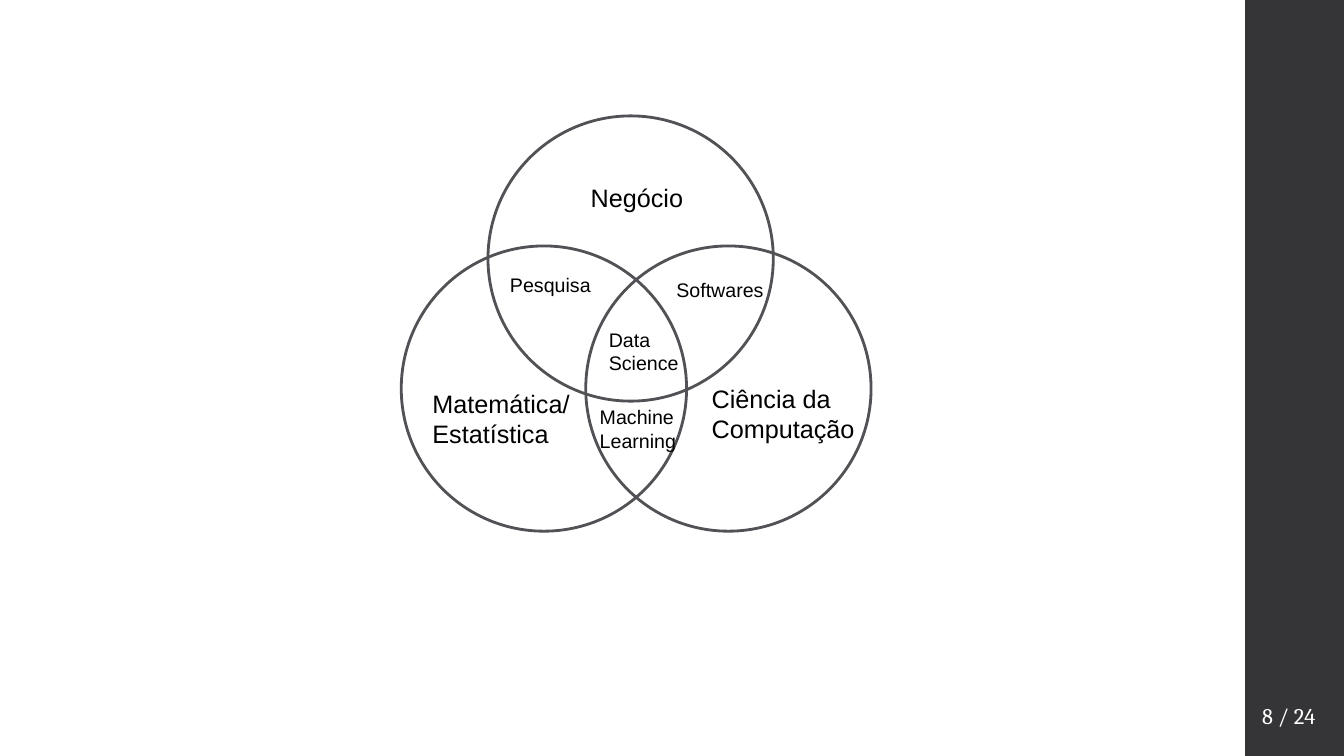
from dataclasses import dataclass

from pptx import Presentation
from pptx import util as u
from pptx.dml import color
from pptx.enum import shapes, text

PX = 9144
SLIDE_WIDTH, SLIDE_HEIGHT = 1333, 750
DIAMETER = 283
COLORS = {
    "sidebar": "353537",
    "outline": "525256",
    "label": "000000",
    "page": "FFFFFF",
}


@dataclass(frozen=True)
class Circle:
    left: int
    top: int


@dataclass(frozen=True)
class Label:
    words: str
    left: int
    top: int
    width: int
    height: int
    size: int


CIRCLES = [Circle(484, 115), Circle(398, 244), Circle(581, 244)]
LABELS = [
    Label("Matemática/\nEstatística", 419, 380, 169, 71, 18),
    Label("Ciência da Computação", 696, 375, 169, 71, 18),
    Label("Machine Learning", 585, 397, 96, 57, 14),
    Label("Negócio", 576, 176, 114, 40, 18),
    Label("Pesquisa", 496, 266, 106, 34, 14),
    Label("Softwares", 661, 271, 114, 34, 14),
    Label("Data Science", 594, 320, 96, 57, 14),
]


def px(*lengths: int) -> list[u.Emu]:
    return [u.Emu(length * PX) for length in lengths]


def rgb(name: str) -> color.RGBColor:
    return color.RGBColor.from_string(COLORS[name])


def draw_sidebar(slide) -> None:
    sidebar = slide.shapes.add_shape(
        shapes.MSO_SHAPE.RECTANGLE, *px(1235, 0, 100, SLIDE_HEIGHT)
    )
    sidebar.shadow.inherit = False
    sidebar.fill.solid()
    sidebar.fill.fore_color.rgb = rgb("sidebar")
    sidebar.line.fill.background()


def draw_circle(slide, circle: Circle) -> None:
    ring = slide.shapes.add_shape(
        shapes.MSO_SHAPE.OVAL, *px(circle.left, circle.top, DIAMETER, DIAMETER)
    )
    ring.shadow.inherit = False
    ring.fill.background()
    ring.line.color.rgb = rgb("outline")
    ring.line.width = u.Pt(2)


def write(slide, label: Label, *, font: str = "Arial", ink: str = "label") -> None:
    box = slide.shapes.add_textbox(
        *px(label.left, label.top, label.width, label.height)
    )
    frame = box.text_frame
    frame.word_wrap = True
    frame.auto_size = text.MSO_AUTO_SIZE.SHAPE_TO_FIT_TEXT
    frame.text = label.words
    for paragraph in frame.paragraphs:
        for run in paragraph.runs:
            run.font.name = font
            run.font.size = u.Pt(label.size)
            run.font.color.rgb = rgb(ink)


def main() -> None:
    deck = Presentation()
    deck.slide_width, deck.slide_height = px(SLIDE_WIDTH, SLIDE_HEIGHT)
    slide = deck.slides.add_slide(deck.slide_layouts[6])

    draw_sidebar(slide)
    page_number = Label("8 / 24", 1242, 692, 91, 37, 16)
    write(slide, page_number, font="Cambria", ink="page")
    for circle in CIRCLES:
        draw_circle(slide, circle)
    for label in LABELS:
        write(slide, label)

    deck.save("out.pptx")


if __name__ == "__main__":
    main()
